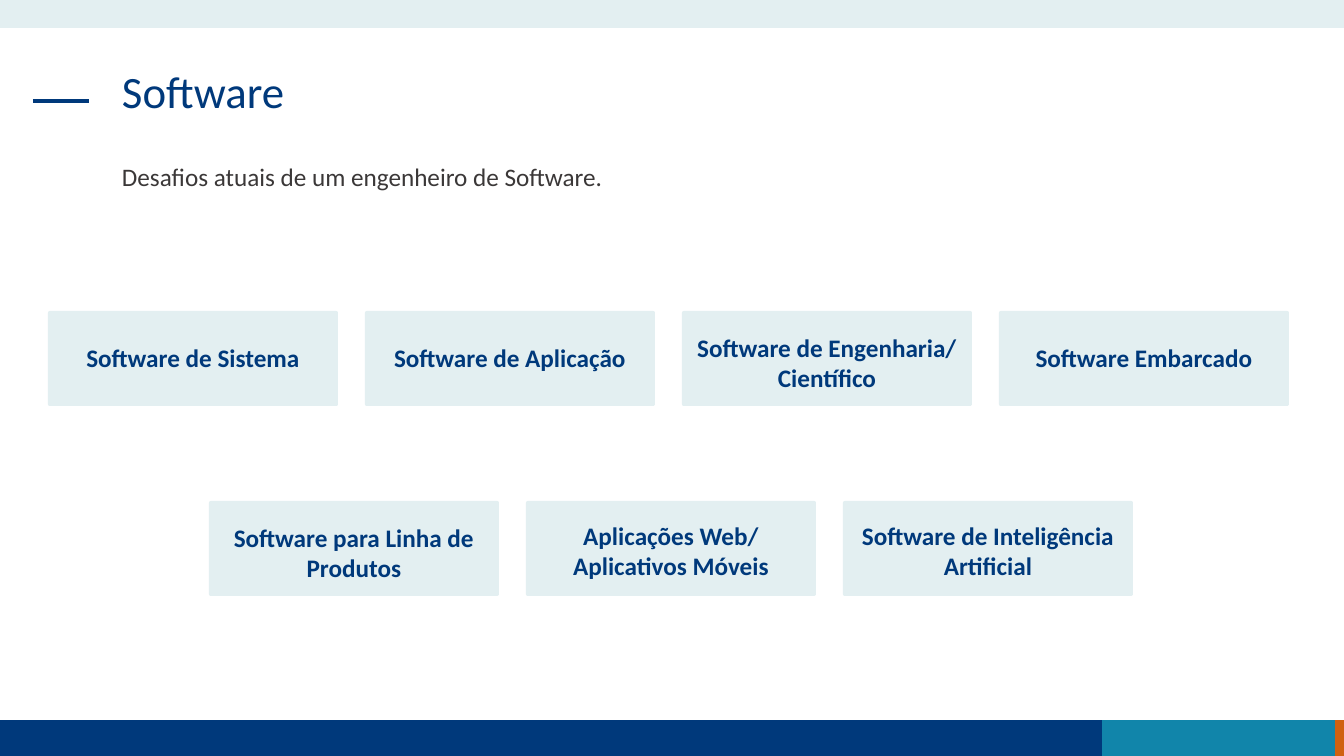
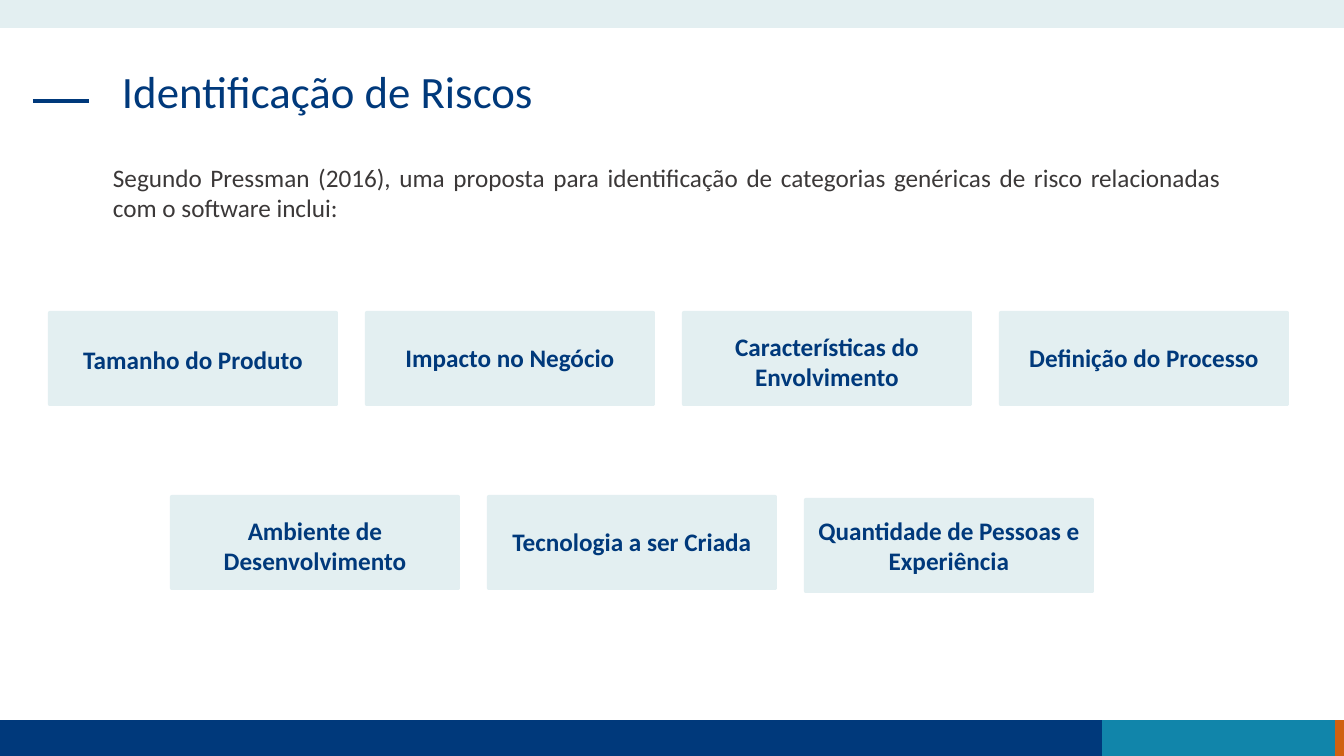
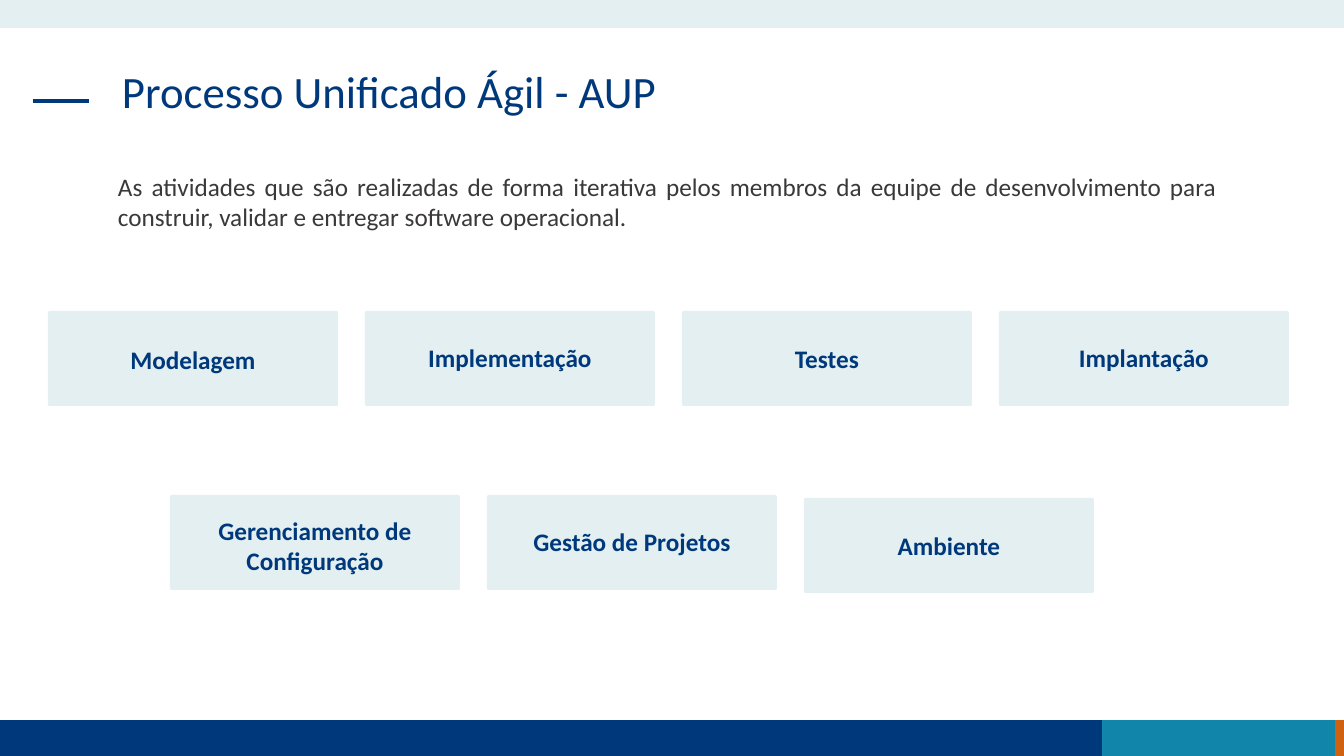
from dataclasses import dataclass

from lxml import etree
from pptx import Presentation
from pptx.dml.color import RGBColor
from pptx.enum.shapes import MSO_CONNECTOR, MSO_SHAPE
from pptx.enum.text import MSO_ANCHOR, PP_ALIGN
from pptx.oxml.ns import qn
from pptx.util import Pt

RECT = MSO_SHAPE.RECTANGLE
ROUNDED = MSO_SHAPE.ROUNDED_RECTANGLE
STRAIGHT = MSO_CONNECTOR.STRAIGHT
LEFT, CENTER, JUSTIFY = PP_ALIGN.LEFT, PP_ALIGN.CENTER, PP_ALIGN.JUSTIFY
TOP, MIDDLE = MSO_ANCHOR.TOP, MSO_ANCHOR.MIDDLE

SLIDE_W, SLIDE_H = 1344, 756
EMU_PER_PX = 12192000 / SLIDE_W


@dataclass(frozen=True)
class Theme:
    navy: str = "00397B"
    teal: str = "1185AA"
    orange: str = "D06110"
    pale: str = "E3EFF1"
    ink: str = "3B3838"
    font: str = "Calibri"
    title_size: int = 32
    body_size: int = 18
    rule_width: int = 3


THEME = Theme()

# Card grid
CARD_W, CARD_H, CARD_GAP = 290, 95, 27
CARD_CORNER = 0.02
INSET_X, INSET_Y = 10, 5
FIRST_ROW = (48, 311)


@dataclass(frozen=True)
class Card:
    label: str
    label_drop: int = -1  # label offset below the card's middle
    lower: int = 0        # card offset below its row


def px(length):
    return round(length * EMU_PER_PX)


def box_emu(box):
    return [px(length) for length in box]


def color(code):
    return RGBColor.from_string(code)


def filled(slide, preset, box, fill):
    shape = slide.shapes.add_shape(preset, *box_emu(box))
    shape.shadow.inherit = False
    shape.fill.solid()
    shape.fill.fore_color.rgb = color(fill)
    shape.line.fill.background()
    return shape


def write(frame, text, size, ink, align, anchor=TOP, bold=False, spacing=1.0):
    frame.word_wrap = True
    frame.vertical_anchor = anchor
    frame.margin_left = frame.margin_right = px(INSET_X)
    paragraph = frame.paragraphs[0]
    paragraph.text = text
    paragraph.alignment = align
    paragraph.line_spacing = spacing
    font = paragraph.font
    font.name, font.size, font.bold = THEME.font, Pt(size), bold
    font.color.rgb = color(ink)


def add_bands(slide):
    band_top, band_h = 720, SLIDE_H - 720
    teal_left, teal_right = 1102, 1335
    for box, fill in (
        ((teal_right, band_top, SLIDE_W - teal_right, band_h), THEME.orange),
        ((0, band_top, teal_left, band_h), THEME.navy),
        ((teal_left, band_top, teal_right - teal_left, band_h), THEME.teal),
        ((0, 0, SLIDE_W, 28), THEME.pale),
    ):
        filled(slide, RECT, box, fill)


def add_title(slide, title, box):
    left, top, _, _ = box
    rule_y = top + 36
    rule = slide.shapes.add_connector(
        STRAIGHT, *box_emu((left - 79, rule_y, left - 23, rule_y)))
    rule.line.color.rgb = color(THEME.navy)
    rule.line.width = Pt(THEME.rule_width)
    etree.SubElement(rule.element.spPr, qn("a:effectLst"))
    heading = slide.shapes.add_textbox(*box_emu(box))
    write(heading.text_frame, title, THEME.title_size, THEME.navy, LEFT,
          spacing=0.9)


def add_intro(slide, intro, box, align, spacing):
    passage = slide.shapes.add_textbox(*box_emu(box))
    write(passage.text_frame, intro, THEME.body_size, THEME.ink, align,
          spacing=spacing)


def add_card(slide, card, left, top):
    tile = filled(slide, ROUNDED, (left, top, CARD_W, CARD_H), THEME.pale)
    tile.adjustments[0] = CARD_CORNER
    frame = tile.text_frame
    write(frame, card.label, THEME.body_size, THEME.navy, CENTER, MIDDLE,
          bold=True)
    # Uneven insets move the centred label
    frame.margin_top = px(INSET_Y + max(0, 2 * card.label_drop))
    frame.margin_bottom = px(INSET_Y + max(0, -2 * card.label_drop))


def add_card_row(slide, cards, origin):
    left, top = origin
    for column, card in enumerate(cards):
        add_card(slide, card, left + column * (CARD_W + CARD_GAP),
                 top + card.lower)


def add_category_slide(deck, title, intro, intro_box, first_row, second_row,
                       second_origin, align=JUSTIFY, spacing=1.0):
    slide = deck.slides.add_slide(deck.slide_layouts[6])
    add_bands(slide)
    add_title(slide, title, (112, 65, 1119, 95))
    add_intro(slide, intro, intro_box, align, spacing)
    add_card_row(slide, first_row, FIRST_ROW)
    add_card_row(slide, second_row, second_origin)


def main():
    deck = Presentation()
    deck.slide_width, deck.slide_height = px(SLIDE_W), px(SLIDE_H)

    add_category_slide(
        deck, "Software",
        "Desafios atuais de um engenheiro de Software.",
        (112, 160, 1001, 95),
        [Card("Software de Sistema"),
         Card("Software de Aplicação"),
         Card("Software de Engenharia/ Científico", 4),
         Card("Software Embarcado")],
        [Card("Software para Linha de Produtos", 4),
         Card("Aplicações Web/ Aplicativos Móveis", 2),
         Card("Software de Inteligência Artificial", 2)],
        (209, 501), align=LEFT, spacing=0.9)

    add_category_slide(
        deck, "Identificação de Riscos",
        "Segundo Pressman (2016), uma proposta para identificação de "
        "categorias genéricas de risco relacionadas com o software inclui:",
        (103, 157, 1128, 72),
        [Card("Tamanho do Produto", 1),
         Card("Impacto no Negócio"),
         Card("Características do Envolvimento", 3),
         Card("Definição do Processo")],
        [Card("Ambiente de Desenvolvimento", 3),
         Card("Tecnologia a ser Criada"),
         Card("Quantidade de Pessoas e Experiência", 0, lower=3)],
        (170, 495))

    add_category_slide(
        deck, "Processo Unificado Ágil - AUP",
        "As atividades que são realizadas de forma iterativa pelos membros "
        "da equipe de desenvolvimento para construir, validar e entregar "
        "software operacional.",
        (108, 166, 1119, 72),
        [Card("Modelagem", 1),
         Card("Implementação"),
         Card("Testes", 0),
         Card("Implantação")],
        [Card("Gerenciamento de Configuração", 3),
         Card("Gestão de Projetos"),
         Card("Ambiente", 0, lower=3)],
        (170, 495))

    deck.save("out.pptx")


if __name__ == "__main__":
    main()
